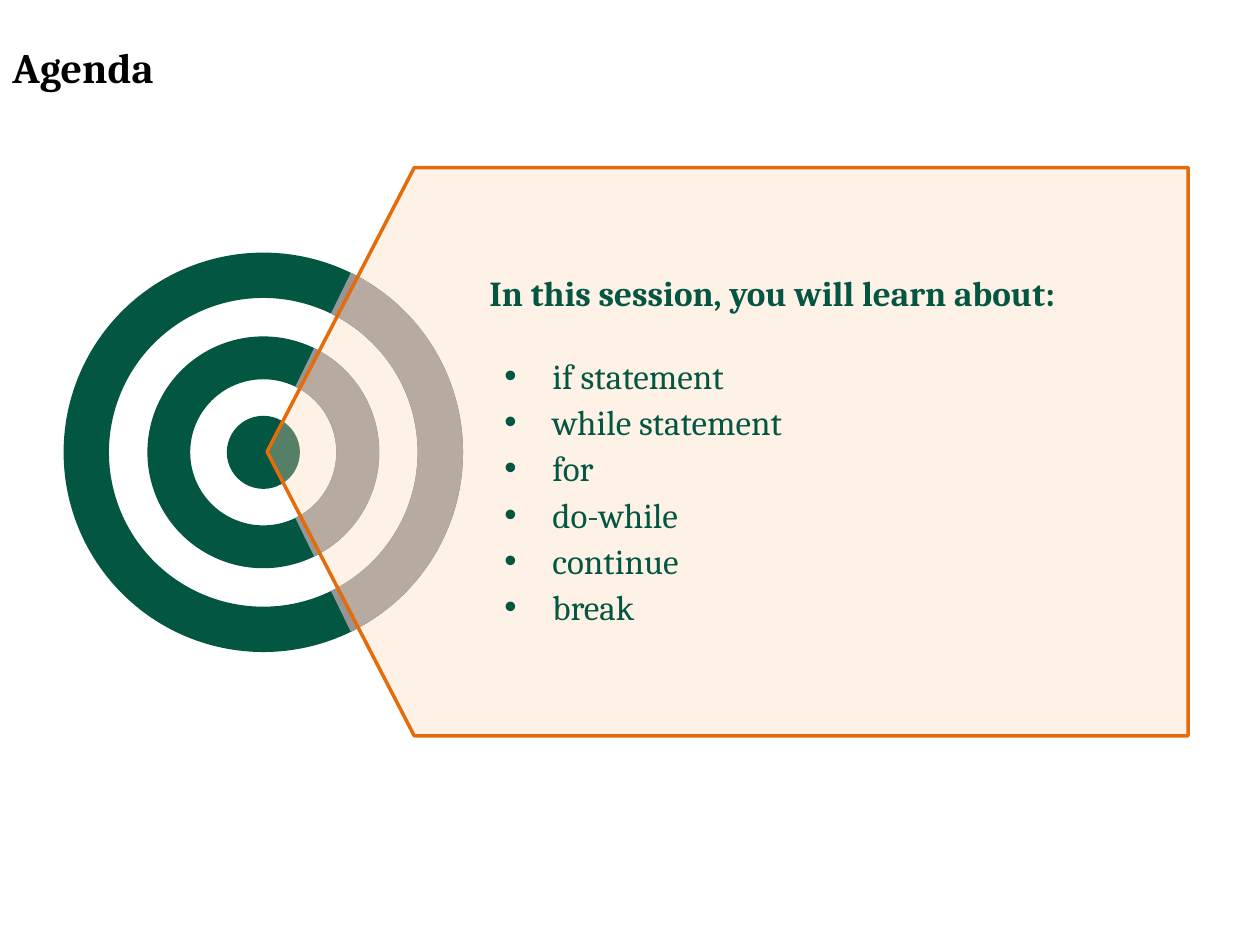
from lxml import etree
from pptx import Presentation
from pptx.dml.color import RGBColor
from pptx.enum.shapes import MSO_SHAPE
from pptx.enum.text import MSO_ANCHOR, PP_ALIGN
from pptx.oxml.ns import qn
from pptx.util import Inches, Pt

OVAL, DONUT, ARC, PLATE = (MSO_SHAPE.OVAL, MSO_SHAPE.DONUT,
                           MSO_SHAPE.BLOCK_ARC, MSO_SHAPE.PENTAGON)
MIDDLE, LEFT = MSO_ANCHOR.MIDDLE, PP_ALIGN.LEFT
COLORS = {"green": "035642", "grey": "969696", "peach": "FCD5B5",
          "orange": "E46C0A", "black": "000000"}
FONT = "Cambria"
CENTER = (2.09, 3.59)
RINGS = [(1.84, 0.34), (3.17, 0.36)]
SECTOR = 64
TOPICS = ["if statement", "while statement", "for", "do-while", "continue", "break"]


def rgb(name):
    return RGBColor.from_string(COLORS[name])


def paint(sp, color):
    sp.shadow.inherit = False
    sp.fill.solid()
    sp.fill.fore_color.rgb = rgb(color)
    sp.line.fill.background()
    return sp


def add_round(shapes, kind, size, color, adjustments=()):
    x, y = CENTER
    sp = shapes.add_shape(kind, Inches(x - size / 2), Inches(y - size / 2),
                          Inches(size), Inches(size))
    for i, value in enumerate(adjustments):
        sp.adjustments[i] = value
    return paint(sp, color)


def add_target(s):
    shapes = s.shapes.add_group_shape().shapes
    add_round(shapes, OVAL, 0.58, "green")
    for size, band in RINGS:
        add_round(shapes, DONUT, size, "green", [band / size])
    for size, band in RINGS:
        add_round(shapes, ARC, size, "grey",
                  [(360 - SECTOR) * 0.6, SECTOR * 0.6, band / size])


def write(tf, text, size=20, color="green", bold=False, spacing=None, after=0,
          bullet=False, first=False):
    p = tf.paragraphs[0] if first else tf.add_paragraph()
    p.alignment = LEFT
    p.line_spacing = spacing
    p.space_before, p.space_after = Pt(0), Pt(after)
    r = p.add_run()
    r.text = text
    r.font.name, r.font.size, r.font.bold = FONT, Pt(size), bold
    r.font.color.rgb = rgb(color)
    if bullet:
        pPr = p._p.get_or_add_pPr()
        pPr.set("marL", str(Inches(0.5)))
        pPr.set("indent", str(Inches(-0.38)))
        etree.SubElement(pPr, qn("a:buFont")).set("typeface", "Arial")
        etree.SubElement(pPr, qn("a:buChar")).set("char", "•")


def add_title(s):
    tf = s.shapes.add_textbox(Inches(0), Inches(0.22), Inches(7.59), Inches(0.62)).text_frame
    tf.word_wrap = True
    tf.vertical_anchor = MIDDLE
    write(tf, "Agenda", size=24, color="black", bold=True, first=True)


def add_panel(s):
    sp = s.shapes.add_shape(PLATE, Inches(2.12), Inches(1.33), Inches(7.31), Inches(4.51))
    sp.adjustments[0] = 0.259
    paint(sp, "peach")
    spPr = sp._element.spPr
    spPr.find(qn("a:xfrm")).set("flipH", "1")
    fill = spPr.find(qn("a:solidFill")).find(qn("a:srgbClr"))
    etree.SubElement(fill, qn("a:alpha")).set("val", "33000")
    sp.line.color.rgb = rgb("orange")
    sp.line.width = Pt(2)
    tf = sp.text_frame
    tf.word_wrap = True
    tf.vertical_anchor = MIDDLE
    tf.margin_left, tf.margin_right = Inches(1.18), Inches(0.08)
    tf.margin_top = tf.margin_bottom = Inches(0)
    write(tf, "In this session, you will learn about:", bold=True, spacing=0.9,
          after=21, first=True)
    for topic in TOPICS:
        write(tf, topic, spacing=1.1, bullet=True)


def main():
    prs = Presentation()
    prs.slide_width, prs.slide_height = Inches(10), Inches(7.5)
    s = prs.slides.add_slide(prs.slide_layouts[6])
    add_title(s)
    add_target(s)
    add_panel(s)
    prs.save("out.pptx")


if __name__ == "__main__":
    main()
